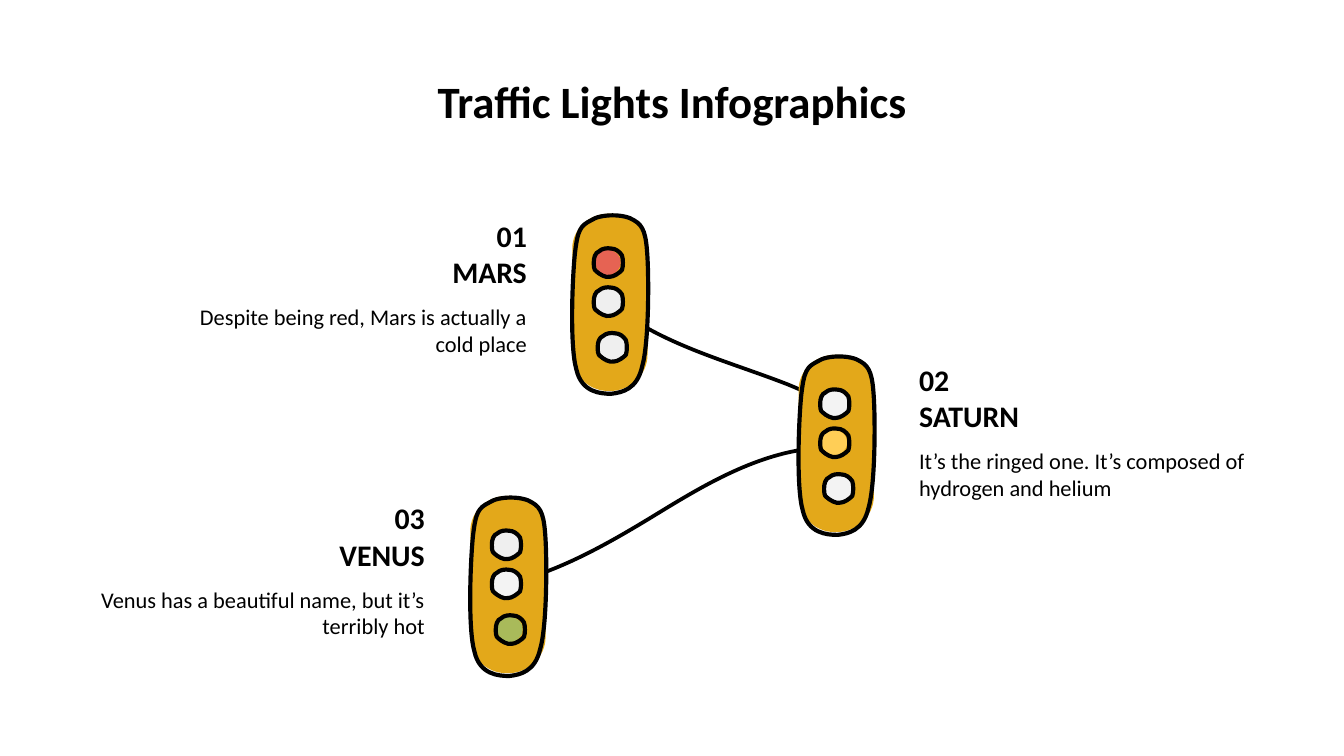
from dataclasses import dataclass
from typing import Optional

from lxml import etree
from pptx import Presentation
from pptx import util as u
from pptx.dml.color import RGBColor
from pptx.enum import text
from pptx.oxml import ns

Point = tuple[float, float]
Segment = tuple[Point, ...]


@dataclass(frozen=True)
class Theme:
    font: str = "Calibri"
    ink: str = "000000"
    case: str = "E3A81A"
    lit: tuple[str, ...] = ("E66353", "FFCE56", "A9BA5A")
    grey: str = "EFEFEF"
    pale: str = "F3F3F3"
    title_size: float = 24
    heading_size: float = 16
    body_size: float = 12
    outline: float = 2.25
    cable: float = 2
    inset: float = 7.2


@dataclass(frozen=True)
class Outline:
    """A start point and segments: one point is a line, three a Bézier curve."""
    start: Point
    segments: tuple[Segment, ...]
    closed: bool = True


@dataclass(frozen=True)
class Light:
    number: str
    planet: str
    fact: str
    corner: Point
    text_edge: float
    text_top: float
    covers: tuple[Optional[str], ...]  # None leaves the lamp lit
    align: text.PP_ALIGN = text.PP_ALIGN.RIGHT


THEME = Theme()
CASE = Outline((19.4, 0), (
    ((8.6, 0), (0, 8.6), (0, 18.7)), ((0, 75.6),),
    ((0, 86.4), (8.6, 95), (19.4, 95)), ((20.2, 95),),
    ((31, 95), (40.3, 86.4), (40.3, 75.6)), ((40.3, 18.7),),
    ((40.3, 7.9), (31, 0), (20.2, 0))))
CASE_LINE = Outline((10.1, 3.6), (
    ((15.1, 0), (28.1, 0), (33.1, 3.6)),
    ((38.2, 6.5), (39.6, 10.8), (40.3, 23.8)),
    ((41, 36.7), (41, 69.8), (37.4, 82.1)),
    ((34.6, 94.3), (26.6, 95.8), (20.9, 96.5)),
    ((15.1, 96.5), (5, 95.8), (2.2, 83.5)),
    ((-1.4, 71.3), (0, 35.3), (1.4, 21.6)),
    ((2.9, 8.6), (4.3, 6.5), (10.1, 3.6))))
LAMP = Outline((8.6, 0), (
    ((2.9, 0), (0, 7.2), (4.3, 11.5)),
    ((5, 13), (7.2, 13.7), (8.6, 13.7)),
    ((12.2, 13.7), (15.8, 10.8), (15.8, 6.5)),
    ((15.8, 2.9), (13, 0), (8.6, 0))))
RING = Outline((9.4, 0), (
    ((11.5, 0), (13.7, 1.4), (15.1, 3.6)),
    ((15.8, 5.8), (15.8, 9.4), (15.1, 11.5)),
    ((13.7, 13), (10.8, 15.1), (8.6, 15.1)),
    ((6.5, 15.8), (2.9, 13.7), (1.4, 12.2)),
    ((0, 11.5), (0, 9.4), (0, 7.2)),
    ((0, 5), (0.7, 2.2), (2.9, 1.4)),
    ((4.3, 0), (7.2, -0.5), (9.4, 0))))
LAMP_OFFSETS = ((10.1, 19.4), (10.1, 40.3), (12.2, 64.8))
RING_SHIFT = (1.4, -0.7)
CABLES = (
    Outline((272.9, 312.5), (
        ((299.5, 306), (324, 292.3), (347.8, 277.9)),
        ((373.7, 262.1), (403.2, 243.4), (436.3, 240.1))), closed=False),
    Outline((325.4, 161.3), (
        ((352.8, 184.3), (388.8, 193), (421.9, 205.9)),
        ((430.6, 209.5), (439.2, 213.1), (447.8, 220.3))), closed=False),
)
LIGHTS = (
    Light("03", "VENUS", "Venus has a beautiful name, but it’s terribly hot",
          (252, 265.7), 234.7, 267.1, (THEME.grey, THEME.pale, None)),
    Light("01", "MARS", "Despite being red, Mars is actually a cold place",
          (306.6, 114.5), 289.4, 115.9, (None, THEME.grey, THEME.grey)),
    Light("02", "SATURN", "It’s the ringed one. It’s composed of hydrogen and helium",
          (427.9, 190.1), 485.3, 193, (THEME.pale, None, THEME.pale),
          text.PP_ALIGN.LEFT),
)


def shifted(origin: Point, offset: Point) -> Point:
    return origin[0] + offset[0], origin[1] + offset[1]


def bend(shape, segments: tuple[Segment, ...]) -> None:
    """Merge each three lines that stand for a curve into one Bézier element."""
    lines = iter(list(shape.element.iter(ns.qn("a:lnTo"))))
    for segment in segments:
        group = [next(lines) for _ in segment]
        if len(group) == 3:
            curve = etree.Element(ns.qn("a:cubicBezTo"))
            group[0].addprevious(curve)
            for line in group:
                curve.append(line[0])
                line.getparent().remove(line)


def draw_outline(shapes, outline: Outline, origin: Point = (0, 0), *,
                 fill: Optional[str] = None, width: float = 0) -> None:
    points = [outline.start, *(point for segment in outline.segments for point in segment)]
    start, *rest = [tuple(u.Pt(v) for v in shifted(origin, point)) for point in points]
    builder = shapes.build_freeform(*start, scale=1.0)
    builder.add_line_segments(rest, close=outline.closed)
    shape = builder.convert_to_shape()
    bend(shape, outline.segments)
    shape.shadow.inherit = False
    if fill:
        shape.fill.solid()
        shape.fill.fore_color.rgb = RGBColor.from_string(fill)
    else:
        shape.fill.background()
    if width:
        shape.line.color.rgb = RGBColor.from_string(THEME.ink)
        shape.line.width = u.Pt(width)
    else:
        shape.line.fill.background()


def write(box, words: str, *, size: float, bold: bool = False,
          align: text.PP_ALIGN = text.PP_ALIGN.LEFT,
          anchor: text.MSO_ANCHOR = text.MSO_ANCHOR.TOP) -> None:
    frame = box.text_frame
    frame.word_wrap = True
    frame.auto_size = text.MSO_AUTO_SIZE.NONE
    frame.vertical_anchor = anchor
    frame.margin_left = frame.margin_right = u.Pt(THEME.inset)
    frame.margin_top = frame.margin_bottom = u.Pt(THEME.inset)
    para = frame.paragraphs[0]
    para.alignment = align
    span = para.add_run()
    span.text = words
    span.font.name = THEME.font
    span.font.size = u.Pt(size)
    span.font.bold = bold
    span.font.color.rgb = RGBColor.from_string(THEME.ink)


def draw_light(page, light: Light) -> None:
    shapes = page.shapes.add_group_shape().shapes
    draw_outline(shapes, CASE, light.corner, fill=THEME.case)
    draw_outline(shapes, CASE_LINE, light.corner, width=THEME.outline)
    for offset, color, cover in zip(LAMP_OFFSETS, THEME.lit, light.covers):
        origin = shifted(light.corner, offset)
        if cover is None:
            draw_outline(shapes, LAMP, origin, fill=color)
        draw_outline(shapes, RING, shifted(origin, RING_SHIFT),
                     fill=cover, width=THEME.outline)


def draw_caption(page, light: Light) -> None:
    heading = dict(size=THEME.heading_size, bold=True, anchor=text.MSO_ANCHOR.MIDDLE)
    rows = ((light.number, 0, 103.7, 20.2, heading),
            (light.planet, 19.7, 103.7, 20.2, heading),
            (light.fact, 39.5, 198.7, 53.3, dict(size=THEME.body_size)))
    for words, drop, width, height, style in rows:
        left = light.text_edge
        if light.align == text.PP_ALIGN.RIGHT:
            left -= width
        box = page.shapes.add_textbox(u.Pt(left), u.Pt(light.text_top + drop),
                                      u.Pt(width), u.Pt(height))
        write(box, words, align=light.align, **style)


def main() -> None:
    deck = Presentation()
    deck.slide_width, deck.slide_height = u.Pt(720), u.Pt(405)
    page = deck.slides.add_slide(deck.slide_layouts[5])
    for cable in CABLES:
        draw_outline(page.shapes, cable, width=THEME.cable)
    title = page.shapes.title
    title.left, title.top = u.Pt(36), u.Pt(32.4)
    title.width, title.height = u.Pt(648), u.Pt(31.7)
    write(title, "Traffic Lights Infographics", size=THEME.title_size, bold=True,
          align=text.PP_ALIGN.CENTER)
    for light in LIGHTS:
        draw_light(page, light)
    for light in LIGHTS:
        draw_caption(page, light)
    deck.save("out.pptx")


if __name__ == "__main__":
    main()
